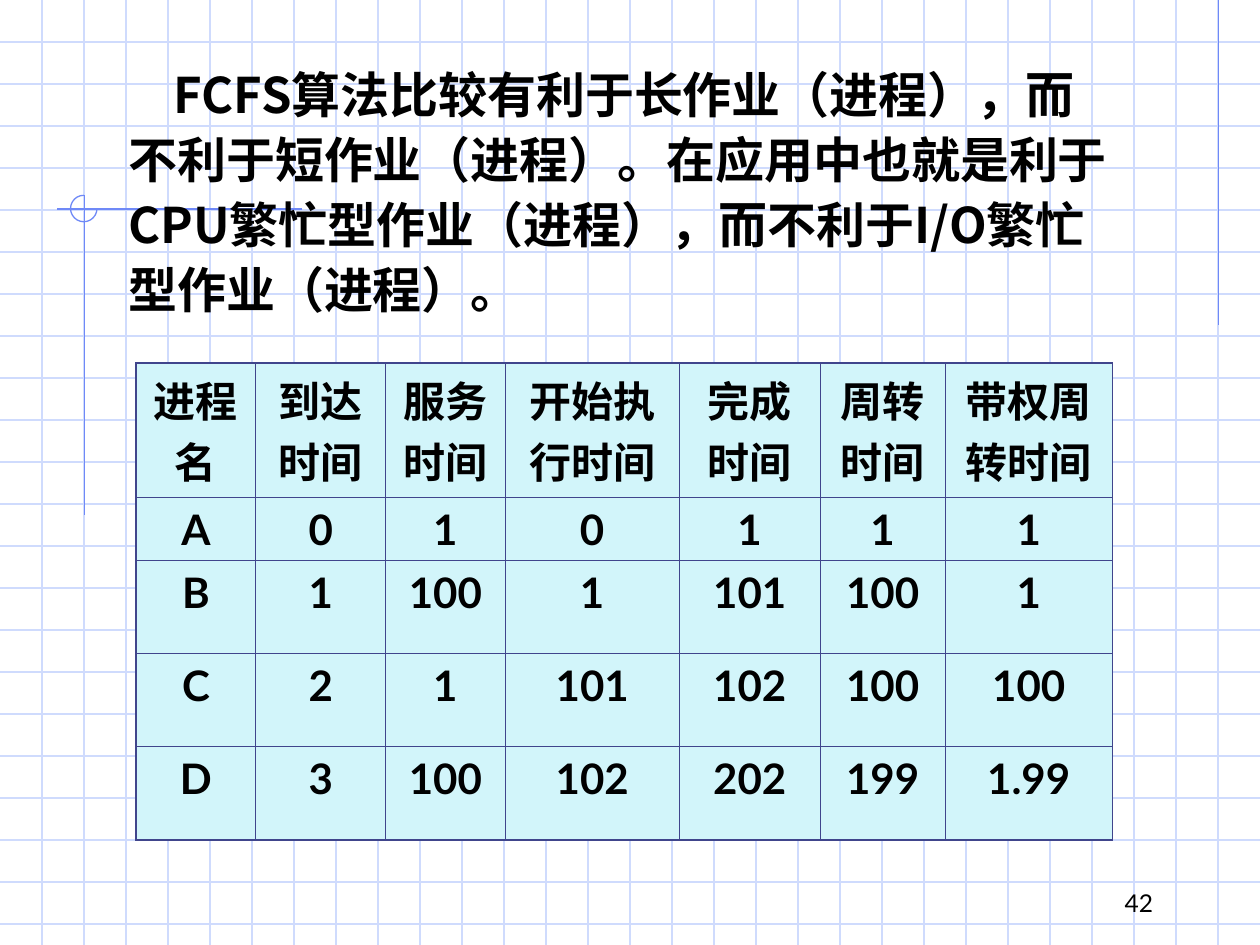
from lxml.etree import SubElement
from pptx import Presentation
from pptx.dml.color import RGBColor
from pptx.enum.shapes import MSO_CONNECTOR, MSO_SHAPE
from pptx.enum.text import MSO_ANCHOR, PP_ALIGN
from pptx.oxml.ns import qn
from pptx.util import Inches, Pt

COLORS = {
    "grid": "CFDBFD",
    "accent": "6F89F7",
    "border": "40458C",
    "cell": "D2F5FA",
    "text": "000000",
}
CJK = "Noto Sans CJK SC"
LATIN = "Lato"
WIDTH, HEIGHT = 10, 7.5
THICK, THIN = 1.08, 0.45


class SlideBuilder:
    def __init__(self, slide):
        self.slide = slide

    def color(self, name):
        return RGBColor.from_string(COLORS[name])

    def line(self, x1, y1, x2, y2, color):
        line = self.slide.shapes.add_connector(
            MSO_CONNECTOR.STRAIGHT, Inches(x1), Inches(y1), Inches(x2), Inches(y2))
        line.line.color.rgb = self.color(color)
        line.line.width = Pt(0.75)
        SubElement(line._element.spPr, qn("a:effectLst"))

    def arc(self, x, y, size, start, end, color):
        arc = self.slide.shapes.add_shape(
            MSO_SHAPE.ARC, Inches(x), Inches(y), Inches(size), Inches(size))
        # Angles are stored in 60000ths of a degree, scaled here by 100000
        arc.adjustments[0], arc.adjustments[1] = start * 0.6, end * 0.6
        arc.shadow.inherit = False
        arc.fill.background()
        arc.line.color.rgb = self.color(color)
        arc.line.width = Pt(0.75)

    def run(self, paragraph, words, size, font, bold=False):
        run = paragraph.add_run()
        run.text = words
        run.font.size = Pt(size)
        run.font.bold = bold
        run.font.name = font
        run.font.color.rgb = self.color("text")
        SubElement(run._r.get_or_add_rPr(), qn("a:ea")).set("typeface", CJK)

    def text(self, x, y, w, h, words, size, font, bold=False, indent=0,
             spacing=None, align=PP_ALIGN.LEFT, anchor=MSO_ANCHOR.TOP):
        frame = self.slide.shapes.add_textbox(
            Inches(x), Inches(y), Inches(w), Inches(h)).text_frame
        frame.word_wrap = True
        frame.vertical_anchor = anchor
        paragraph = frame.paragraphs[0]
        paragraph.alignment = align
        paragraph.line_spacing = spacing
        if indent:
            paragraph._p.get_or_add_pPr().set("indent", str(Inches(indent)))
        self.run(paragraph, words, size, font, bold)

    def border(self, cell, side, width):
        line = SubElement(cell._tc.get_or_add_tcPr(), qn(f"a:ln{side}"), w=str(Pt(width)))
        fill = SubElement(line, qn("a:solidFill"))
        SubElement(fill, qn("a:srgbClr"), val=COLORS["border"])

    def table(self, x, y, widths, heights, rows):
        table = self.slide.shapes.add_table(
            len(rows), len(widths), Inches(x), Inches(y),
            Inches(sum(widths)), Inches(sum(heights))).table
        table.first_row = table.horz_banding = False
        for column, width in zip(table.columns, widths):
            column.width = Inches(width)
        for row, height in zip(table.rows, heights):
            row.height = Inches(height)
        last_row, last_column = len(rows) - 1, len(widths) - 1
        for r, values in enumerate(rows):
            for c, value in enumerate(values):
                cell = table.cell(r, c)
                outer = {"L": c == 0, "R": c == last_column,
                         "T": r == 0, "B": r == last_row}
                for side, is_outer in outer.items():
                    self.border(cell, side, THICK if is_outer else THIN)
                cell.fill.solid()
                cell.fill.fore_color.rgb = self.color("cell")
                paragraph = cell.text_frame.paragraphs[0]
                paragraph.alignment = PP_ALIGN.CENTER
                paragraph.space_before = Pt(6)
                self.run(paragraph, value, 24, LATIN, bold=True)


def main():
    deck = Presentation()
    deck.slide_width, deck.slide_height = Inches(WIDTH), Inches(HEIGHT)
    page = SlideBuilder(deck.slides.add_slide(deck.slide_layouts[6]))

    # Background grid, three squares to the inch
    for i in range(1, 23):
        page.line(0, i / 3, WIDTH, i / 3, "grid")
    for i in range(1, 30):
        page.line(i / 3, 0, i / 3, HEIGHT, "grid")

    # Accent lines and three-quarter circle
    page.line(9.67, 0, 9.67, 2.58, "accent")
    page.line(2.4, 1.66, 0.45, 1.66, "accent")
    page.line(0.67, 1.55, 0.67, 4.09, "accent")
    page.arc(0.56, 1.55, 0.21, 0, 270, "accent")

    # Scheduling example
    page.table(
        1.08, 2.88,
        [0.95, 1.03, 0.95, 1.38, 1.12, 0.99, 1.33],
        [0.9, 0.5, 0.74, 0.74, 0.74],
        [
            ["进程名", "到达时间", "服务时间", "开始执行时间", "完成时间", "周转时间", "带权周转时间"],
            ["A", "0", "1", "0", "1", "1", "1"],
            ["B", "1", "100", "1", "101", "100", "1"],
            ["C", "2", "1", "101", "102", "100", "100"],
            ["D", "3", "100", "102", "202", "199", "1.99"],
        ])

    # Statement about FCFS
    page.text(
        0.92, 0.42, 8.08, 2.16,
        "FCFS算法比较有利于长作业（进程），而不利于短作业（进程）。"
        "在应用中也就是利于CPU繁忙型作业（进程），而不利于I/O繁忙型作业（进程）。",
        28, CJK, bold=True, indent=0.36, spacing=1.1)

    # Page number
    page.text(7.17, 6.83, 2.08, 0.5, "42", 14, LATIN,
              align=PP_ALIGN.RIGHT, anchor=MSO_ANCHOR.BOTTOM)

    deck.save("out.pptx")


if __name__ == "__main__":
    main()
